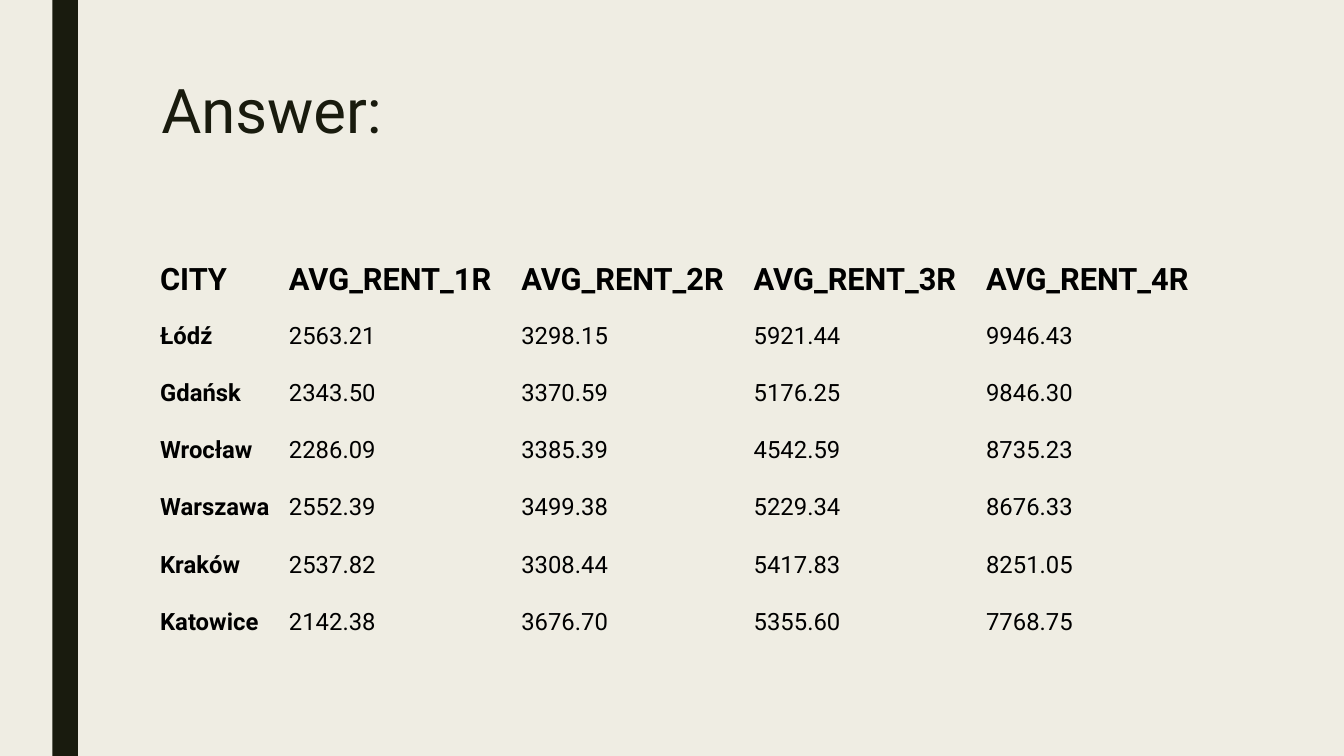
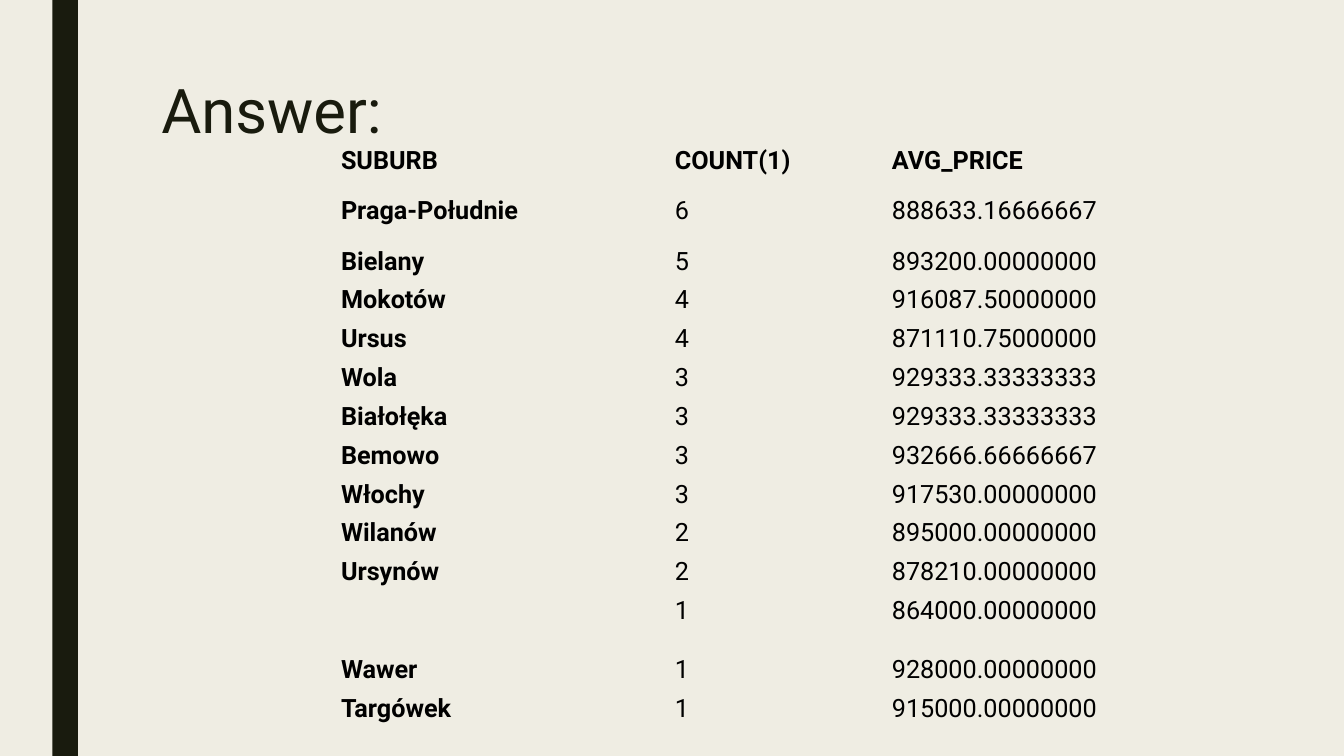
import pptx
import pptx.dml.color
import pptx.enum.shapes
import pptx.enum.text
import pptx.oxml.ns
import pptx.util
from dataclasses import dataclass

Pt = pptx.util.Pt
RGB = pptx.dml.color.RGBColor.from_string
ANCHOR = pptx.enum.text.MSO_ANCHOR


@dataclass(frozen=True)
class Theme:
    paper: str = "EFEDE3"
    ink: str = "191B0E"
    table_text: str = "000000"
    font: str = "Roboto"
    title_size: int = 44
    title_spacing: float = 0.89
    no_grid_style: str = "{2D5ABB26-0587-4C30-8999-92F81FD0307C}"


THEME = Theme()
SLIDE_SIZE = (960, 540)
BAR_BOX = (37.5, 0, 18.2, 540)
TITLE_BOX = (108, 54, 756, 116.6)

RENTS = [
    ("CITY", "AVG_RENT_1R", "AVG_RENT_2R", "AVG_RENT_3R", "AVG_RENT_4R"),
    ("Łódź", "2563.21", "3298.15", "5921.44", "9946.43"),
    ("Gdańsk", "2343.50", "3370.59", "5176.25", "9846.30"),
    ("Wrocław", "2286.09", "3385.39", "4542.59", "8735.23"),
    ("Warszawa", "2552.39", "3499.38", "5229.34", "8676.33"),
    ("Kraków", "2537.82", "3308.44", "5417.83", "8251.05"),
    ("Katowice", "2142.38", "3676.70", "5355.60", "7768.75"),
]
SUBURBS = [
    ("SUBURB", "COUNT(1)", "AVG_PRICE"),
    ("Praga-Południe", "6", "888633.16666667"),
    ("Bielany", "5", "893200.00000000"),
    ("Mokotów", "4", "916087.50000000"),
    ("Ursus", "4", "871110.75000000"),
    ("Wola", "3", "929333.33333333"),
    ("Białołęka", "3", "929333.33333333"),
    ("Bemowo", "3", "932666.66666667"),
    ("Włochy", "3", "917530.00000000"),
    ("Wilanów", "2", "895000.00000000"),
    ("Ursynów", "2", "878210.00000000"),
    ("", "1", "864000.00000000"),
    ("Wawer", "1", "928000.00000000"),
    ("Targówek", "1", "915000.00000000"),
]

# Insets run left, top, right, bottom
SLIDES = [
    dict(title="Answer:", rows=RENTS, origin=(108, 180),
         widths=[92] + [166] * 4, heights=[47.8] + [40.95] * 6,
         insets=(6.4, 2.1, 3, 14.8), head_size=22, body_size=17,
         head_anchor=ANCHOR.BOTTOM),
    dict(title="Answer:", rows=SUBURBS, origin=(242.9, 103.6),
         widths=[238.5, 155, 258], heights=[36] * 2 + [27.75] * 9 + [42] + [27.75] * 2,
         insets=(0.7, 0.7, 0.7, 0.7), head_size=18, body_size=18,
         head_anchor=ANCHOR.TOP),
]


def style_font(font, size, color, bold=False):
    font.name, font.size, font.bold = THEME.font, Pt(size), bold
    font.color.rgb = RGB(color)


def paint(fill, color):
    fill.solid()
    fill.fore_color.rgb = RGB(color)


def add_side_bar(slide):
    bar = slide.shapes.add_shape(pptx.enum.shapes.MSO_SHAPE.RECTANGLE, *map(Pt, BAR_BOX))
    bar.shadow.inherit = False
    paint(bar.fill, THEME.ink)
    bar.line.fill.background()


def set_title(slide, text):
    sp = slide.shapes.title
    sp.left, sp.top, sp.width, sp.height = map(Pt, TITLE_BOX)
    tf = sp.text_frame
    tf.text = text
    tf.vertical_anchor = ANCHOR.TOP
    p = tf.paragraphs[0]
    p.alignment = pptx.enum.text.PP_ALIGN.LEFT
    p.line_spacing = THEME.title_spacing
    style_font(p.font, THEME.title_size, THEME.ink)


def add_result_table(slide, rows, origin, widths, heights, insets,
                     head_size, body_size, head_anchor):
    frame = slide.shapes.add_table(len(rows), len(widths), *map(Pt, origin),
                                   Pt(sum(widths)), Pt(sum(heights)))
    table = frame.table
    table.first_row = table.horz_banding = False
    for style in frame.element.iter(pptx.oxml.ns.qn("a:tableStyleId")):
        style.text = THEME.no_grid_style
    for column, width in zip(table.columns, widths):
        column.width = Pt(width)
    for i, (row, height) in enumerate(zip(table.rows, heights)):
        row.height = Pt(height)
        for j, cell in enumerate(row.cells):
            cell.fill.background()
            (cell.margin_left, cell.margin_top,
             cell.margin_right, cell.margin_bottom) = map(Pt, insets)
            cell.vertical_anchor = head_anchor if i == 0 else ANCHOR.TOP
            if rows[i][j]:
                cell.text = rows[i][j]
            style_font(cell.text_frame.paragraphs[0].font,
                       head_size if i == 0 else body_size,
                       THEME.table_text, bold=i == 0 or j == 0)


def main():
    prs = pptx.Presentation()
    prs.slide_width, prs.slide_height = map(Pt, SLIDE_SIZE)
    layout = prs.slide_layouts.get_by_name("Title Only")
    paint(layout.background.fill, THEME.paper)
    for content in SLIDES:
        s = prs.slides.add_slide(layout)
        table = dict(content)
        add_side_bar(s)
        set_title(s, table.pop("title"))
        add_result_table(s, **table)
    prs.save("out.pptx")


if __name__ == "__main__":
    main()
